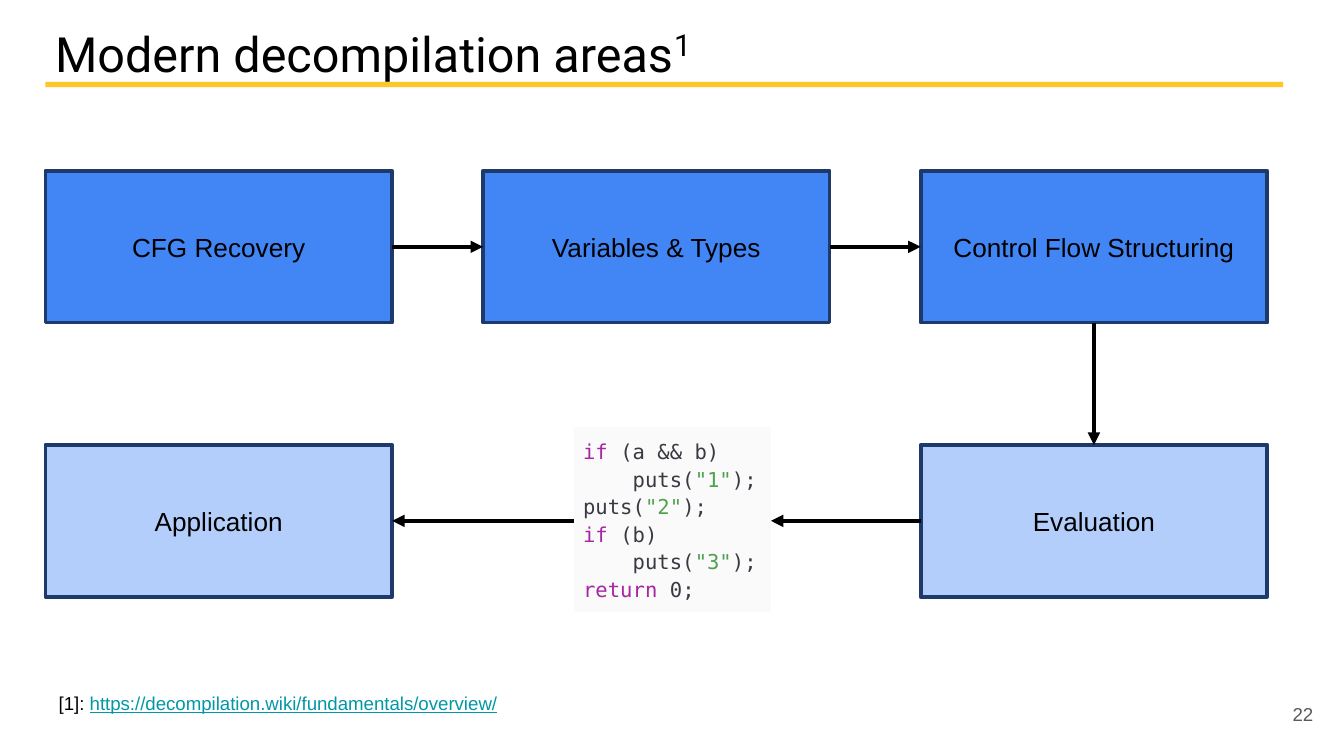
"""Build the slide on modern decompilation areas as a flow of five steps and a code sample."""
from typing import NamedTuple, Optional

from lxml import etree
from pptx import Presentation
from pptx.dml.color import RGBColor
from pptx.enum.shapes import MSO_CONNECTOR, MSO_SHAPE
from pptx.enum.text import MSO_ANCHOR, MSO_AUTO_SIZE, PP_ALIGN
from pptx.oxml.ns import qn
from pptx.shapes.autoshape import Shape
from pptx.slide import Slide
from pptx.util import Cm, Pt

RECTANGLE = MSO_SHAPE.RECTANGLE
STRAIGHT = MSO_CONNECTOR.STRAIGHT
TOP, MIDDLE = MSO_ANCHOR.TOP, MSO_ANCHOR.MIDDLE
LEFT, CENTER, RIGHT = PP_ALIGN.LEFT, PP_ALIGN.CENTER, PP_ALIGN.RIGHT
SIDE_TOP, SIDE_LEFT, SIDE_BOTTOM, SIDE_RIGHT = range(4)

BLACK, GOLD, GRAY, TEAL = "000000", "FFC627", "595959", "0097A7"
BLUE, PALE_BLUE, NAVY = "4285F4", "B3CEFB", "1D3A6B"
KEYWORD, PLAIN, STRING, CODE_FILL = "A626A4", "383A42", "50A14F", "FAFAFA"

MARGIN = 0.86
CONTENT_WIDTH = 23.39
STEP_WIDTH, STEP_HEIGHT, STEP_PITCH = 6.55, 2.87, 8.27
ROW_TOPS = (3.23, 8.41)
CODE_LEFT, CODE_TOP, CODE_WIDTH, CODE_HEIGHT = 10.84, 8.08, 3.73, 3.48


class Step(NamedTuple):
    label: str
    column: int
    row: int
    fill: str


class End(NamedTuple):
    step: Optional[Shape] = None
    side: int = 0
    x: float = 0
    y: float = 0


STEPS = (
    Step("CFG Recovery", 0, 0, BLUE),
    Step("Variables & Types", 1, 0, BLUE),
    Step("Control Flow Structuring", 2, 0, BLUE),
    Step("Evaluation", 2, 1, PALE_BLUE),
    Step("Application", 0, 1, PALE_BLUE),
)

CODE_LINES = (
    (("if", KEYWORD), (" (a && b)", PLAIN)),
    (("    puts(", PLAIN), ('"1"', STRING), (");", PLAIN)),
    (("puts(", PLAIN), ('"2"', STRING), (");", PLAIN)),
    (("if", KEYWORD), (" (b)", PLAIN)),
    (("    puts(", PLAIN), ('"3"', STRING), (");", PLAIN)),
    (("return", KEYWORD), (" 0;", PLAIN)),
)


def rgb(value: str) -> RGBColor:
    return RGBColor.from_string(value)


def add_run(paragraph, text: str, size: float, color: str = BLACK, font: str = "Arial"):
    run = paragraph.add_run()
    run.text = text
    run.font.size = Pt(size)
    run.font.name = font
    run.font.color.rgb = rgb(color)
    return run


def set_insets(holder, horizontal: float, vertical: float) -> None:
    holder.margin_left = holder.margin_right = Cm(horizontal)
    holder.margin_top = holder.margin_bottom = Cm(vertical)


def add_rectangle(slide: Slide, left: float, top: float, width: float, height: float, fill: str) -> Shape:
    rectangle = slide.shapes.add_shape(RECTANGLE, Cm(left), Cm(top), Cm(width), Cm(height))
    rectangle.shadow.inherit = False
    rectangle.fill.solid()
    rectangle.fill.fore_color.rgb = rgb(fill)
    rectangle.line.fill.background()
    return rectangle


def add_title(slide: Slide) -> None:
    title = slide.shapes.title
    title.left, title.top = Cm(MARGIN), Cm(0.28)
    title.width, title.height = Cm(CONTENT_WIDTH), Cm(1.12)
    frame = title.text_frame
    frame.auto_size = MSO_AUTO_SIZE.NONE
    frame.vertical_anchor = TOP
    set_insets(frame, 0.18, 0.1)
    heading = frame.paragraphs[0]
    heading.alignment = LEFT
    add_run(heading, "Modern decompilation areas", 26, font="Roboto")
    note_mark = add_run(heading, "1", 28, font="Roboto")
    note_mark.font._element.set("baseline", "30000")


def add_step(slide: Slide, step: Step) -> Shape:
    left = MARGIN + step.column * STEP_PITCH
    box = add_rectangle(slide, left, ROW_TOPS[step.row], STEP_WIDTH, STEP_HEIGHT, step.fill)
    box.line.color.rgb = rgb(NAVY)
    box.line.width = Pt(2)
    box.text_frame.vertical_anchor = MIDDLE
    label = box.text_frame.paragraphs[0]
    label.alignment = CENTER
    add_run(label, step.label, 14)
    return box


def add_arrow(slide: Slide, start: End, finish: End) -> None:
    arrow = slide.shapes.add_connector(STRAIGHT, Cm(start.x), Cm(start.y), Cm(finish.x), Cm(finish.y))
    if start.step is not None:
        arrow.begin_connect(start.step, start.side)
    if finish.step is not None:
        arrow.end_connect(finish.step, finish.side)
    arrow.line.color.rgb = rgb(BLACK)
    arrow.line.width = Pt(2.25)
    etree.SubElement(arrow.line._get_or_add_ln(), qn("a:tailEnd"), type="triangle")
    etree.SubElement(arrow._element.spPr, qn("a:effectLst"))


def add_code(slide: Slide) -> None:
    table = slide.shapes.add_table(1, 1, Cm(CODE_LEFT), Cm(CODE_TOP), Cm(CODE_WIDTH), Cm(CODE_HEIGHT)).table
    table.first_row = table.horz_banding = False
    cell = table.cell(0, 0)
    set_insets(cell, 0.18, 0.18)
    properties = cell._tc.get_or_add_tcPr()
    for edge in ("a:lnL", "a:lnR", "a:lnT", "a:lnB"):
        etree.SubElement(etree.SubElement(properties, qn(edge)), qn("a:noFill"))
    cell.fill.solid()
    cell.fill.fore_color.rgb = rgb(CODE_FILL)
    listing = cell.text_frame.paragraphs[0]
    listing.line_spacing = 1.15
    for number, line in enumerate(CODE_LINES):
        if number:
            listing.add_line_break()
        for text, color in line:
            add_run(listing, text, 11, color, "DejaVu Sans Mono")


def add_reference(slide: Slide) -> None:
    reference = slide.shapes.add_textbox(Cm(MARGIN), Cm(12.95), Cm(8.86), Cm(1.27))
    reference.text_frame.word_wrap = False
    citation = reference.text_frame.paragraphs[0]
    add_run(citation, "[1]: ", 10)
    address = add_run(citation, "https://decompilation.wiki/fundamentals/overview/", 10, TEAL)
    address.font.underline = True


def add_page_number(slide: Slide) -> None:
    page = slide.shapes.add_textbox(Cm(23.55), Cm(12.95), Cm(1.52), Cm(1.09))
    frame = page.text_frame
    frame.word_wrap = True
    frame.vertical_anchor = MIDDLE
    set_insets(frame, 0.25, 0.25)
    frame.paragraphs[0].alignment = RIGHT
    add_run(frame.paragraphs[0], "22", 10, GRAY)


def main() -> None:
    deck = Presentation()
    deck.slide_width, deck.slide_height = Cm(25.4), Cm(14.29)
    slide = deck.slides.add_slide(deck.slide_layouts[5])
    add_title(slide)
    add_rectangle(slide, MARGIN, 1.55, CONTENT_WIDTH, 0.1, GOLD)
    recovery, variables, structuring, evaluation, application = [add_step(slide, step) for step in STEPS]
    add_code(slide)
    code_middle = ROW_TOPS[1] + STEP_HEIGHT / 2
    code_left = End(x=CODE_LEFT, y=code_middle)
    code_right = End(x=CODE_LEFT + CODE_WIDTH, y=code_middle)
    add_arrow(slide, End(recovery, SIDE_RIGHT), End(variables, SIDE_LEFT))
    add_arrow(slide, End(variables, SIDE_RIGHT), End(structuring, SIDE_LEFT))
    add_arrow(slide, End(structuring, SIDE_BOTTOM), End(evaluation, SIDE_TOP))
    add_arrow(slide, End(evaluation, SIDE_LEFT), code_right)
    add_arrow(slide, code_left, End(application, SIDE_RIGHT))
    add_reference(slide)
    add_page_number(slide)
    deck.save("out.pptx")


if __name__ == "__main__":
    main()
